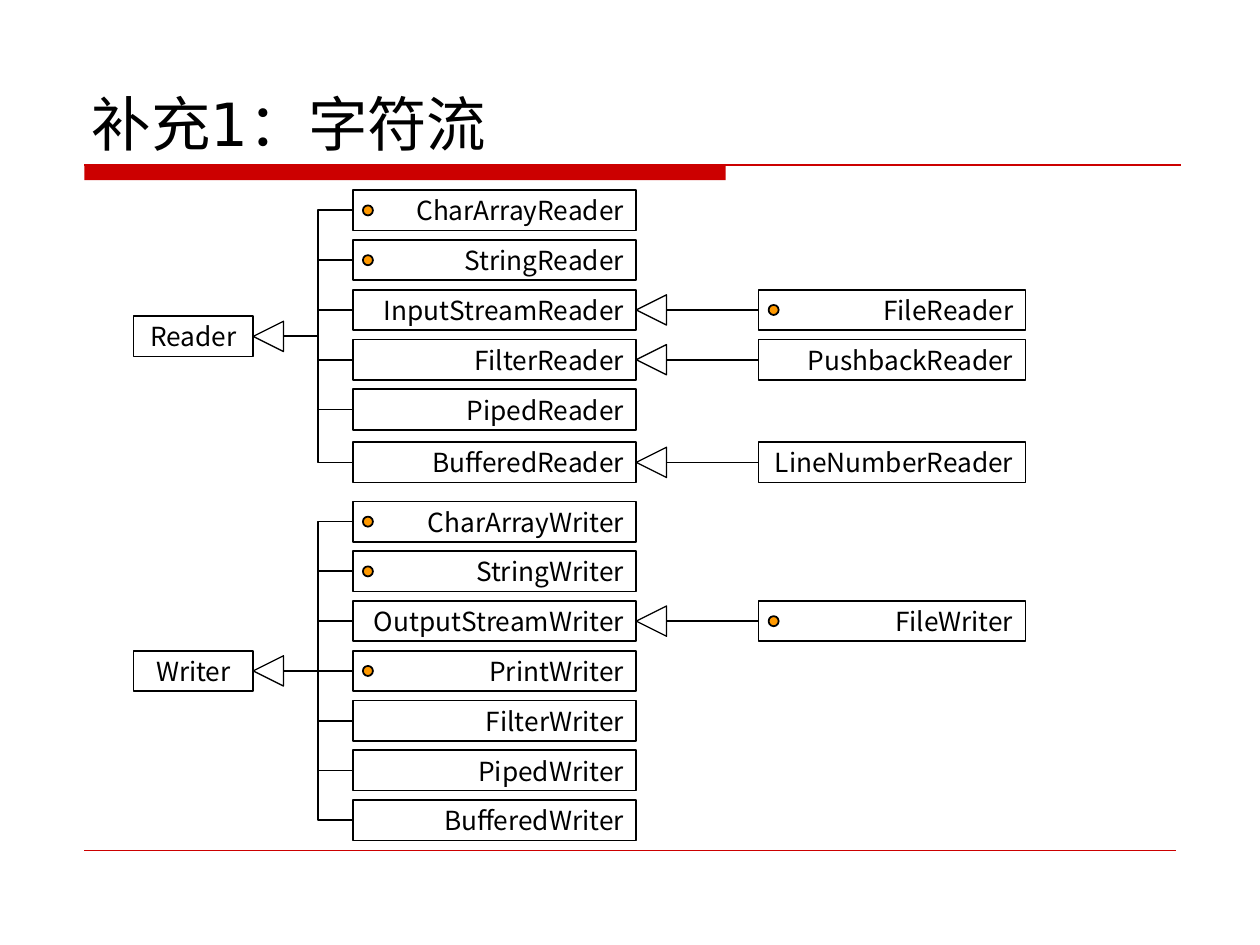
from dataclasses import dataclass

from lxml import etree
from pptx import Presentation
from pptx import util as u
from pptx.dml import color
from pptx.enum import shapes, text
from pptx.oxml import ns

In = u.Inches
Kind = shapes.MSO_SHAPE
Link = shapes.MSO_CONNECTOR
Align = text.PP_ALIGN


@dataclass(frozen=True)
class Theme:
    ink: str = "000000"
    paper: str = "FFFFFF"
    red: str = "CC0000"
    dot: str = "FF9900"
    head: str = "DejaVu Sans"
    body: str = "Noto Sans CJK SC"
    big: int = 34
    small: int = 15
    line: float = 1
    thin: float = 0.75
    hair: float = 0.25


T = Theme()
PITCH = In(2.37) / 6
HIGH = In(0.32)
HEAD = In(0.24)
SPOT = In(0.08)

READERS = [
    ("CharArrayReader", True, None),
    ("StringReader", True, None),
    ("InputStreamReader", False, ("FileReader", True)),
    ("FilterReader", False, ("PushbackReader", False)),
    ("PipedReader", False, None),
    ("BufferedReader", False, ("LineNumberReader", False)),
]
WRITERS = [
    ("CharArrayWriter", True, None),
    ("StringWriter", True, None),
    ("OutputStreamWriter", False, ("FileWriter", True)),
    ("PrintWriter", True, None),
    ("FilterWriter", False, None),
    ("PipedWriter", False, None),
    ("BufferedWriter", False, None),
]


def rgb(code):
    return color.RGBColor.from_string(code)


def style(run, size, face):
    run.font.size = u.Pt(size)
    run.font.name = face
    run.font.color.rgb = rgb(T.ink)


def shape(slide, kind, box, fill=None, width=None):
    item = slide.shapes.add_shape(kind, *map(int, box))
    item.shadow.inherit = False
    if fill:
        item.fill.solid()
        item.fill.fore_color.rgb = rgb(fill)
    else:
        item.fill.background()
    if width:
        item.line.color.rgb = rgb(T.ink)
        item.line.width = u.Pt(width)
    else:
        item.line.fill.background()
    return item


def rule(slide, kind, ends, tone, width):
    item = slide.shapes.add_connector(kind, *map(int, ends))
    item.line.color.rgb = rgb(tone)
    item.line.width = u.Pt(width)
    etree.SubElement(item._element.spPr, ns.qn("a:effectLst"))
    return item


def node(slide, name, box, align=Align.RIGHT, dot=False):
    item = shape(slide, Kind.RECTANGLE, box, T.paper, T.line)
    frame = item.text_frame
    frame.word_wrap = False
    frame.vertical_anchor = text.MSO_ANCHOR.MIDDLE
    frame.text = name
    para = frame.paragraphs[0]
    para.alignment = align
    style(para.runs[0], T.small, T.body)
    if dot:
        left, top, _, high = box
        spot = (left + In(0.08), top + (high - SPOT) / 2, SPOT, SPOT)
        shape(slide, Kind.FLOWCHART_CONNECTOR, spot, T.dot, T.line)
    return item


def arrow(slide, base):
    left = base.left + base.width
    top = base.top + (base.height - HEAD) / 2
    item = shape(slide, Kind.LEFT_ARROW, (left, top, HEAD, HEAD), width=T.thin)
    item.adjustments[0] = item.adjustments[1] = 1
    return item


def join(slide, head, child):
    gap = child.top + child.height / 2 - head.top - head.height / 2
    kind = Link.STRAIGHT if abs(gap) < In(0.02) else Link.ELBOW
    item = rule(slide, kind, (0, 0, 0, 0), T.ink, T.line)
    item.begin_connect(head, 3)
    item.end_connect(child, 1)


def tree(slide, name, rows, box):
    left, top, wide, high = box
    mid = top + (high - HIGH) / 2
    root = node(slide, name, (left, mid, In(0.95), HIGH), Align.CENTER)
    head = arrow(slide, root)
    for i, (label, dot, sub) in enumerate(rows):
        last = i == len(rows) - 1
        y = top + high - HIGH if last else top + i * PITCH
        kid = node(slide, label, (left + In(1.74), y, In(2.25), HIGH), dot=dot)
        join(slide, head, kid)
        if sub:
            width = In(2.12)
            spot = (left + wide - width, y, width, HIGH)
            leaf = node(slide, sub[0], spot, dot=sub[1])
            join(slide, arrow(slide, kid), leaf)


def title(slide, words, box):
    item = slide.shapes.title
    item.left, item.top, item.width, item.height = box
    frame = item.text_frame
    frame.text = words
    frame.word_wrap = True
    frame.auto_size = text.MSO_AUTO_SIZE.NONE
    frame.vertical_anchor = text.MSO_ANCHOR.BOTTOM
    para = frame.paragraphs[0]
    para.alignment = Align.LEFT
    style(para.runs[0], T.big, T.head)


def frame(slide, box):
    left, top, wide, high = box
    bar = (left, top, In(5.09), In(0.12))
    shape(slide, Kind.RECTANGLE, bar, T.red)
    right, low = left + wide, top + high
    rule(slide, Link.STRAIGHT, (left, top, right, top), T.red, T.thin)
    foot = (left, low, right - In(0.04), low)
    rule(slide, Link.STRAIGHT, foot, T.red, T.hair)


def main():
    deck = Presentation()
    deck.slide_width, deck.slide_height = In(10), In(7.5)
    slide = deck.slides.add_slide(deck.slide_layouts[5])
    frame(slide, (In(0.67), In(1.31), In(8.7), In(5.44)))
    title(slide, "补充1：字符流", (In(0.63), In(0.33), In(8.75), In(0.98)))
    left, wide = In(1.06), In(7.08)
    tree(slide, "Reader", READERS, (left, In(1.51), wide, In(2.32)))
    tree(slide, "Writer", WRITERS, (left, In(3.98), wide, In(2.69)))
    deck.save("out.pptx")


if __name__ == "__main__":
    main()
